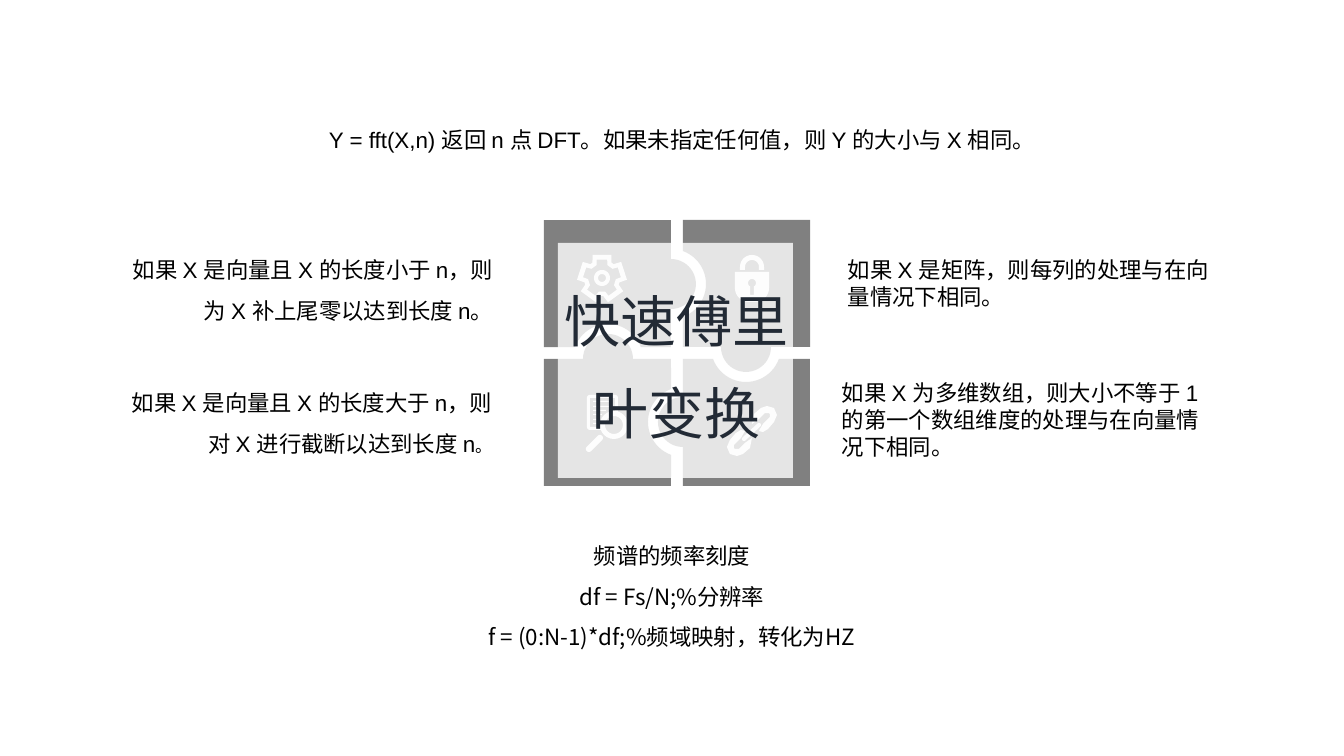
from math import cos, radians, sin
from lxml.etree import SubElement
from pptx import Presentation
from pptx.dml.color import RGBColor
from pptx.enum.shapes import MSO_SHAPE
from pptx.enum.text import MSO_AUTO_SIZE, PP_ALIGN
from pptx.oxml.ns import qn
from pptx.util import Pt

PX = 914400 / 100.8
THEME = {
    "ink": RGBColor(0, 0, 0),
    "title": RGBColor(0x22, 0x2A, 0x35),
    "piece": RGBColor(0x80, 0x80, 0x80),
    "icon": RGBColor(0xF8, 0xF8, 0xF8),
    "veil": RGBColor(255, 255, 255),
    "latin": "Arial",
    "cjk": "Noto Sans CJK SC",
    "body": 16,
    "small": 12,
    "head": 40,
}

prs = Presentation()
prs.slide_width = round(1344 * PX)
prs.slide_height = round(756 * PX)
s = prs.slides.add_slide(prs.slide_layouts[6])


def add_text(paras, box, size=THEME["body"], font=THEME["latin"], color=THEME["ink"],
             aligns=(PP_ALIGN.LEFT,), spacing=None, after=None, inset=(10, 5), wrap=True):
    tb = s.shapes.add_textbox(*[round(v * PX) for v in box])
    tf = tb.text_frame
    tf.word_wrap = wrap
    tf.auto_size = MSO_AUTO_SIZE.SHAPE_TO_FIT_TEXT
    tf.margin_left = tf.margin_right = round(inset[0] * PX)
    tf.margin_top = tf.margin_bottom = round(inset[1] * PX)
    for i, runs in enumerate(paras):
        p = tf.add_paragraph() if i else tf.paragraphs[0]
        p.alignment = aligns[i % len(aligns)]
        p.line_spacing = spacing
        if after:
            p.space_after = Pt(after)
        for text, run_size in [(runs, size)] if isinstance(runs, str) else runs:
            r = p.add_run()
            r.text = text
            r.font.size = Pt(run_size)
            r.font.color.rgb = color
            r.font.name = font
            SubElement(r.font._element, qn("a:ea"), typeface=THEME["cjk"])


def add_outline(contours, color, origin=(0, 0), turn=0):
    c, d = cos(radians(turn)), sin(radians(turn))
    fb = None
    for contour in contours:
        pts = []
        for item in contour:
            if len(item) == 2:
                pts.append(item)
                continue
            cx, cy, radius, start, end = item
            angles = [radians(start + (end - start) * k / 24) for k in range(25)]
            pts += [(cx + radius * cos(a), cy + radius * sin(a)) for a in angles]
        pts = [(round((origin[0] + x * c - y * d) * PX),
                round((origin[1] + x * d + y * c) * PX)) for x, y in pts]
        if fb is None:
            fb = s.shapes.build_freeform(*pts[0])
        else:
            fb.move_to(*pts[0])
        fb.add_line_segments(pts[1:], close=True)
    sp = fb.convert_to_shape()
    sp.shadow.inherit = False
    sp.fill.solid()
    sp.fill.fore_color.rgb = color
    sp.line.fill.background()


piece = [(-133, -133), (-6, -133), (-6, -69, 25, -90, 90), (-6, -6),
         (-69, 6, 35, -20, -160), (-133, -6)]
for turn in (90, 180, 270, 0):
    add_outline([piece], THEME["piece"], (677, 353), turn)

shackle = [(-12, 15), (0, 12, 12, 180, 360), (12, 15), (7, 15), (0, 12, 7, 360, 180), (-7, 15)]
body = [(-17, 17), (17, 17), (3, 33, 14, 0, 90), (-3, 33, 14, 90, 180)]
keyhole = [(0, 28, 4, 120, 420), (2, 40), (-2, 40)]
add_outline([shackle], THEME["icon"], (752, 255))
add_outline([body, keyhole], THEME["icon"], (752, 255))

chain_bar = [(7, -6, 2, -135, 45), (-8, 8, 2, 45, 225)]
chain_link = [(-13, 18), (-17, 18), (-18, 17), (-18, 14), (-11, 7), (-7, 0), (-11, -1), (-16, 2),
              (-22, 9), (-25, 16), (-22, 23), (-15, 25), (-9, 23), (-2, 17), (0, 7), (-7, 12)]
add_outline([chain_bar], THEME["icon"], (752, 431))
for turn in (0, 180):
    add_outline([chain_link], THEME["icon"], (752, 431), turn)

rows = zip((401, 406, 410, 414, 419, 423), (612, 612, 606, 602, 599, 598))
add_outline([[(593, y), (right, y), (right, y + 1), (593, y + 1)] for y, right in rows],
            THEME["icon"])
add_outline([[(614, 425, 14, 0, 360)], [(614, 425, 9, 0, 360)]], THEME["icon"])
add_outline([[(600, 438, 3, -135, 45), (589, 449, 3, 45, 225)]], THEME["icon"])
add_outline([[(602, 427), (590, 427), (590, 398), (615, 398), (615, 413), (618, 414),
              (615, 398, 3, 0, -90), (590, 398, 3, -90, -180), (590, 427, 3, 180, 90),
              (603, 430)]], THEME["icon"])

gear = [[(r * cos(radians(72 * k + a)), r * sin(radians(72 * k + a)))
         for k in range(5) for r, a in corners]
        for corners in (((18, -122), (25, -112), (25, -68), (18, -58)),
                        ((14, -113), (19, -106), (19, -74), (14, -67)))]
add_outline(gear + [[(0, 0, r, 0, 360)] for r in (8, 4)], THEME["icon"], (602, 278))

add_text(["如果 X 是矩阵，则每列的处理与在向量情况下相同。"], (838, 251, 384, 64))
add_text(["如果 X 为多维数组，则大小不等于 1 的第一个数组维度的处理与在向量情况下相同。"],
         (832, 374, 384, 92))
add_text(["如果 X 是向量且 X 的长度小于 n，则为 X 补上尾零以达到长度 n。"],
         (108, 238, 395, 122), aligns=(PP_ALIGN.RIGHT,), spacing=1.5)
add_text([[("如果 X 是向量且 X 的长度大于 n，则对 X 进行截断以达到长度 n", THEME["body"]),
           ("。", THEME["small"])]],
         (107, 371, 395, 122), aligns=(PP_ALIGN.RIGHT,), spacing=1.5)
add_text(["频谱的频率刻度", "df = Fs/N;%分辨率", "f = (0:N-1)*df;%频域映射，转化为HZ"],
         (348, 524, 648, 173), font=THEME["cjk"], aligns=(PP_ALIGN.CENTER,), spacing=1.5)

veil = s.shapes.add_shape(MSO_SHAPE.RECTANGLE, *[round(v * PX) for v in (558, 243, 235, 235)])
veil.shadow.inherit = False
veil.fill.solid()
veil.fill.fore_color.rgb = THEME["veil"]
veil.line.fill.background()
SubElement(veil.fill._xPr.find(qn("a:solidFill"))[0], qn("a:alpha"), val="80000")

add_text(["快速傅里", "叶变换"], (558, 270, 238, 179), size=THEME["head"], font=THEME["cjk"],
         color=THEME["title"], aligns=(PP_ALIGN.LEFT, PP_ALIGN.CENTER), spacing=1.2, after=8,
         inset=(7, 3), wrap=False)
add_text(["Y = fft(X,n) 返回 n 点 DFT。如果未指定任何值，则 Y 的大小与 X 相同。"],
         (322, 123, 712, 32), inset=(7, 3))

prs.save("out.pptx")
